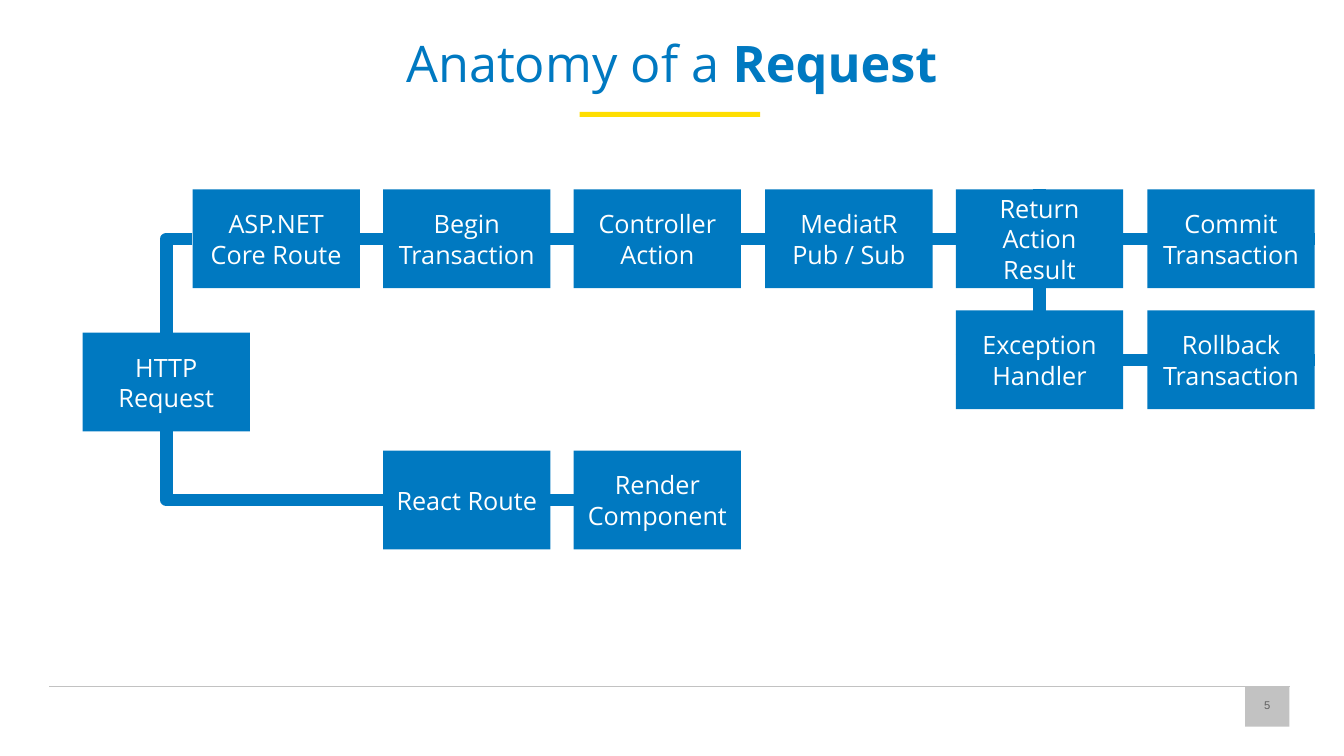
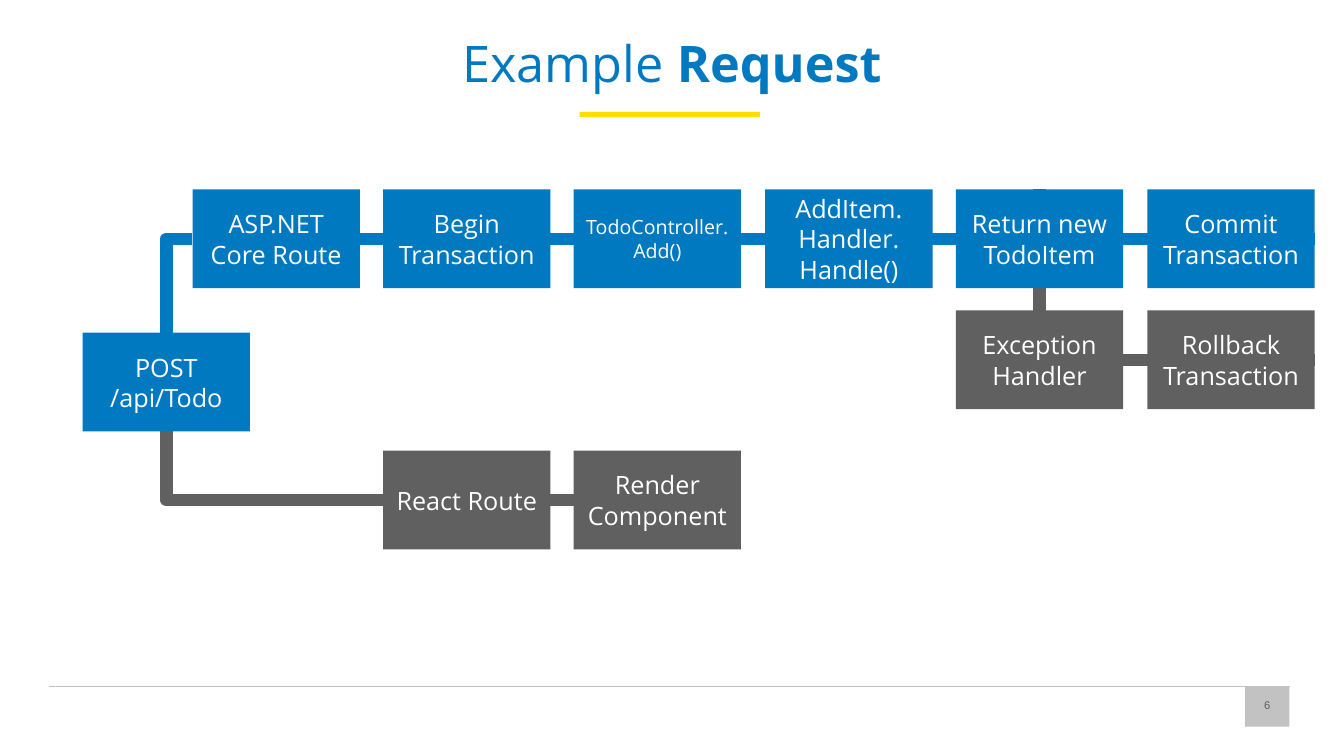
from pptx import Presentation
from pptx.dml.color import RGBColor
from pptx.enum.shapes import MSO_CONNECTOR as Link, MSO_SHAPE as Form
from pptx.enum.text import MSO_ANCHOR as Anchor, PP_ALIGN as Align
from pptx.oxml.ns import qn
from pptx.util import Emu, Pt
from lxml.etree import SubElement

BLUE = RGBColor(0x00, 0x79, 0xC1)
GRAY = RGBColor(0x60, 0x60, 0x60)
PALE = RGBColor(0xC2, 0xC2, 0xC2)
GOLD = RGBColor(0xFF, 0xDE, 0x00)
WHITE = RGBColor(0xFF, 0xFF, 0xFF)
FONT = "Open Sans"

WIDE, HIGH = 166, 98
LEFT, SPAN = 191, 947
TOP, FAIL, PAGE = 188, 308, 447


def col(i):
    return LEFT + SPAN * i // 5


PLACES = {
    "route": (col(0), TOP),
    "begin": (col(1), TOP),
    "action": (col(2), TOP),
    "handle": (col(3), TOP),
    "result": (col(4), TOP),
    "commit": (col(5), TOP),
    "error": (col(4), FAIL),
    "undo": (col(5), FAIL),
    "react": (col(1), PAGE),
    "render": (col(2), PAGE),
    "start": (82, 330),
}
LABELS = {
    "route": "ASP.NET Core Route",
    "begin": "Begin Transaction",
    "commit": "Commit Transaction",
    "error": "Exception Handler",
    "undo": "Rollback Transaction",
    "react": "React Route",
    "render": "Render\nComponent",
}
SIDE = ("error", "undo", "react", "render")
LINES = [
    ("react", 1, "render", 3, "react"),
    ("error", 1, "undo", 3, "error"),
    ("result", 0, "error", 2, "error"),
    ("route", 1, "commit", 3, "route"),
]
BENDS = [("route", 1, "start", 0, "route"), ("react", 1, "start", 2, "react")]
SLIDES = [
    dict(number=5, title="Anatomy of a ", side=BLUE, small=(), labels={
        "start": "HTTP Request",
        "action": "Controller Action",
        "handle": "MediatR Pub / Sub",
        "result": "Return Action Result",
    }),
    dict(number=6, title="Example ", side=GRAY, small=("action",), labels={
        "start": "POST /api/Todo",
        "action": "TodoController.Add()",
        "handle": "AddItem.\nHandler.\nHandle()",
        "result": "Return new TodoItem",
    }),
]


def px(*sizes):
    return [Emu(size * 9144) for size in sizes]


def style(para, size, color, font=FONT):
    para.alignment = Align.CENTER
    para.font.size = Pt(size)
    para.font.name = font
    para.font.color.rgb = color


def inset(frame, side, edge):
    frame.word_wrap = True
    frame.margin_left = frame.margin_right = px(side)[0]
    frame.margin_top = frame.margin_bottom = px(edge)[0]


def block(slide, area, color):
    box = slide.shapes.add_shape(Form.RECTANGLE, *px(*area))
    box.shadow.inherit = False
    box.fill.solid()
    box.fill.fore_color.rgb = color
    box.line.fill.background()
    return box


def wire(slide, kind, ends, color, width):
    line = slide.shapes.add_connector(kind, *px(*ends))
    line.line.color.rgb = color
    line.line.width = Pt(width)
    SubElement(line._element.spPr, qn("a:effectLst"))
    return line


def join(line, first, start, last, end):
    line.begin_connect(first, start)
    line.end_connect(last, end)


def frame(slide, title, number):
    block(slide, (575, 111, 179, 5), GOLD)
    wire(slide, Link.STRAIGHT, (49, 681, 1279, 681), PALE, 0.75)
    block(slide, (1235, 681, 44, 40), PALE)
    page = slide.shapes.add_textbox(*px(1235, 679, 44, 40)).text_frame
    inset(page, 10, 5)
    page.vertical_anchor = Anchor.MIDDLE
    page.text = str(number)
    style(page.paragraphs[0], 8, GRAY, "Arial")
    head = slide.shapes.add_textbox(*px(93, 29, 1147, 99)).text_frame
    inset(head, 10, 10)
    para = head.paragraphs[0]
    para.line_spacing = 0.9
    style(para, 36, BLUE)
    para.add_run().text = title
    bold = para.add_run()
    bold.text = "Request"
    bold.font.bold = True


def step(slide, place, text, color, size):
    box = block(slide, (*place, WIDE, HIGH), color)
    body = box.text_frame
    inset(body, 10, 10)
    body.vertical_anchor = Anchor.MIDDLE
    body.text = text
    for para in body.paragraphs:
        style(para, size, WHITE)
    return box


def flow(slide, labels, side, small):
    def tint(name):
        return side if name in SIDE else BLUE

    wires = [wire(slide, Link.STRAIGHT, (0, 0, 0, 0), tint(owner), 9)
             for *_, owner in LINES]
    texts = LABELS | labels
    boxes = {name: step(slide, place, texts[name], tint(name),
                        14 if name in small else 18)
             for name, place in PLACES.items()}
    for line, (first, start, last, end, _) in zip(wires, LINES):
        join(line, boxes[first], start, boxes[last], end)
    for first, start, last, end, owner in BENDS:
        x, y = PLACES[first]
        left, top = PLACES[last]
        ends = (x, y + HIGH // 2, left + WIDE // 2, top + HIGH * end // 2)
        line = wire(slide, Link.ELBOW, ends, tint(owner), 9)
        line._element.spPr.find(qn("a:prstGeom")).set("prst", "bentConnector2")
        join(line, boxes[first], start, boxes[last], end)


def main():
    deck = Presentation()
    deck.slide_width, deck.slide_height = px(1333, 750)
    for data in SLIDES:
        slide = deck.slides.add_slide(deck.slide_layouts[6])
        frame(slide, data["title"], data["number"])
        flow(slide, data["labels"], data["side"], data["small"])
    deck.save("out.pptx")


if __name__ == "__main__":
    main()
